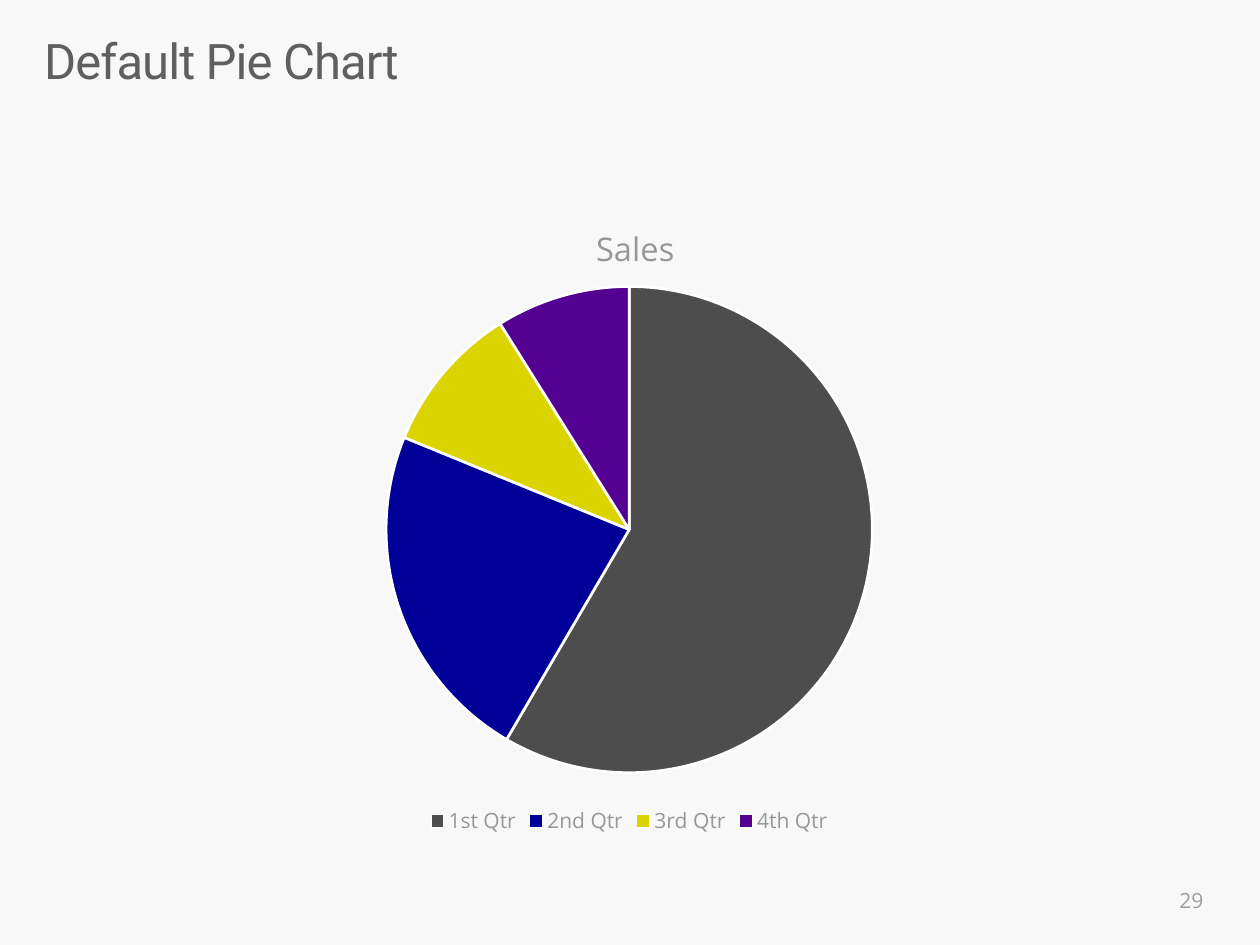
from dataclasses import dataclass

from lxml.etree import SubElement
from pptx import Presentation
from pptx.chart.data import CategoryChartData
from pptx.dml.color import RGBColor
from pptx.enum.chart import XL_CHART_TYPE, XL_LEGEND_POSITION
from pptx.enum.text import MSO_ANCHOR, PP_ALIGN
from pptx.oxml.ns import qn
from pptx.util import Cm, Pt


@dataclass(frozen=True)
class Theme:
    background: str = "F8F8F8"
    title: str = "5F5F5F"
    muted: str = "979797"
    page_number: str = "9D9D9D"
    slice_border: str = "FFFFFF"
    slices: tuple = ("4D4D4D", "000099", "DBD400", "530093")
    heading_font: str = "Roboto"
    body_font: str = "Open Sans"
    title_size: float = 28
    chart_title_size: float = 18.6
    small_size: float = 12


theme = Theme()


def set_font(font, name, size, color):
    for attribute, value in {"name": name, "size": Pt(size), "bold": False}.items():
        setattr(font, attribute, value)
    font.color.rgb = RGBColor.from_string(color)


def set_layout(parent, position):
    """Place a chart part by fractions of the chart's size."""
    layout = parent.get_or_add_layout() if hasattr(parent, "get_or_add_layout") else parent.find(qn("c:layout"))
    if layout is None:
        layout = SubElement(parent, qn("c:layout"))
        parent.insert(0, layout)
    manual = SubElement(layout, qn("c:manualLayout"))
    for tag, value in position.items():
        SubElement(manual, qn(f"c:{tag}")).set("val", str(value))


# Slide and background
presentation = Presentation()
presentation.slide_width, presentation.slide_height = Cm(25.4), Cm(19.05)
slide = presentation.slides.add_slide(presentation.slide_layouts[5])
slide.background.fill.solid()
slide.background.fill.fore_color.rgb = RGBColor.from_string(theme.background)

# Title
title = slide.shapes.title
title_box = {"left": Cm(0.89), "top": Cm(0.79), "width": Cm(23.6), "height": Cm(2.26)}
for attribute, value in title_box.items():
    setattr(title, attribute, value)
title_format = {"margin_left": 0, "margin_top": 0, "margin_right": 0, "margin_bottom": 0,
                "vertical_anchor": MSO_ANCHOR.TOP, "word_wrap": True}
for attribute, value in title_format.items():
    setattr(title.text_frame, attribute, value)
paragraph = title.text_frame.paragraphs[0]
paragraph.alignment = PP_ALIGN.LEFT
paragraph.line_spacing = 0.86
run = paragraph.add_run()
run.text = "Default Pie Chart"
set_font(run.font, theme.heading_font, theme.title_size, theme.title)
run.font._element.set("spc", "-50")

# Pie chart
chart_data = CategoryChartData()
chart_data.categories = ["1st Qtr", "2nd Qtr", "3rd Qtr", "4th Qtr"]
chart_data.add_series("Sales", (59, 23, 10, 9))
chart = slide.shapes.add_chart(XL_CHART_TYPE.PIE, Cm(2.84), Cm(3.73), Cm(19.69), Cm(13.21), chart_data).chart
set_font(chart.font, theme.body_font, 10, theme.title)
set_layout(chart._chartSpace.chart.plotArea, {
    "layoutTarget": "inner", "xMode": "edge", "yMode": "edge",
    "x": 0.25, "y": 0.155, "w": 0.5, "h": 0.742})

# Slices
plot = chart.plots[0]
plot.vary_by_categories = True
for index, color in enumerate(theme.slices):
    point_format = plot.series[0].points[index].format
    point_format.fill.solid()
    point_format.fill.fore_color.rgb = RGBColor.from_string(color)
    point_format.line.color.rgb = RGBColor.from_string(theme.slice_border)
    point_format.line.width = Pt(1.5)

# Chart title
chart.has_title = True
chart_title = chart.chart_title
chart_title.include_in_layout = False
paragraph = chart_title.text_frame.paragraphs[0]
run = paragraph.add_run()
run.text = "Sales"
set_font(run.font, theme.body_font, theme.chart_title_size, theme.muted)
set_layout(chart_title._element, {"xMode": "edge", "yMode": "edge", "x": 0.46, "y": 0.047})

# Legend
chart.has_legend = True
chart.legend.position = XL_LEGEND_POSITION.BOTTOM
chart.legend.include_in_layout = False
set_font(chart.legend.font, theme.body_font, theme.small_size, theme.muted)

# Page number
page_number = slide.shapes.add_textbox(Cm(18.8), Cm(17.63), Cm(5.71), Cm(1.02)).text_frame
page_number.word_wrap = True
page_number.vertical_anchor = MSO_ANCHOR.MIDDLE
paragraph = page_number.paragraphs[0]
paragraph.alignment = PP_ALIGN.RIGHT
run = paragraph.add_run()
run.text = "29"
set_font(run.font, theme.body_font, theme.small_size, theme.page_number)

presentation.save("out.pptx")
